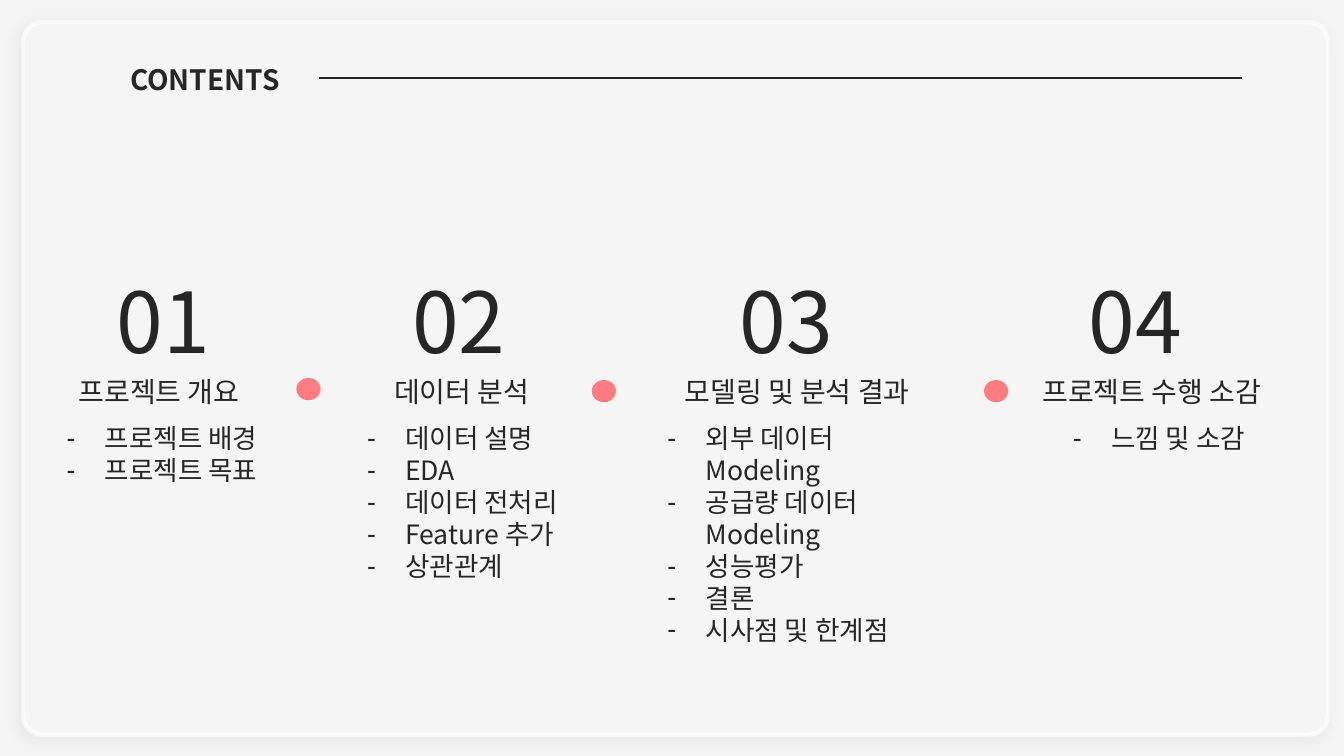
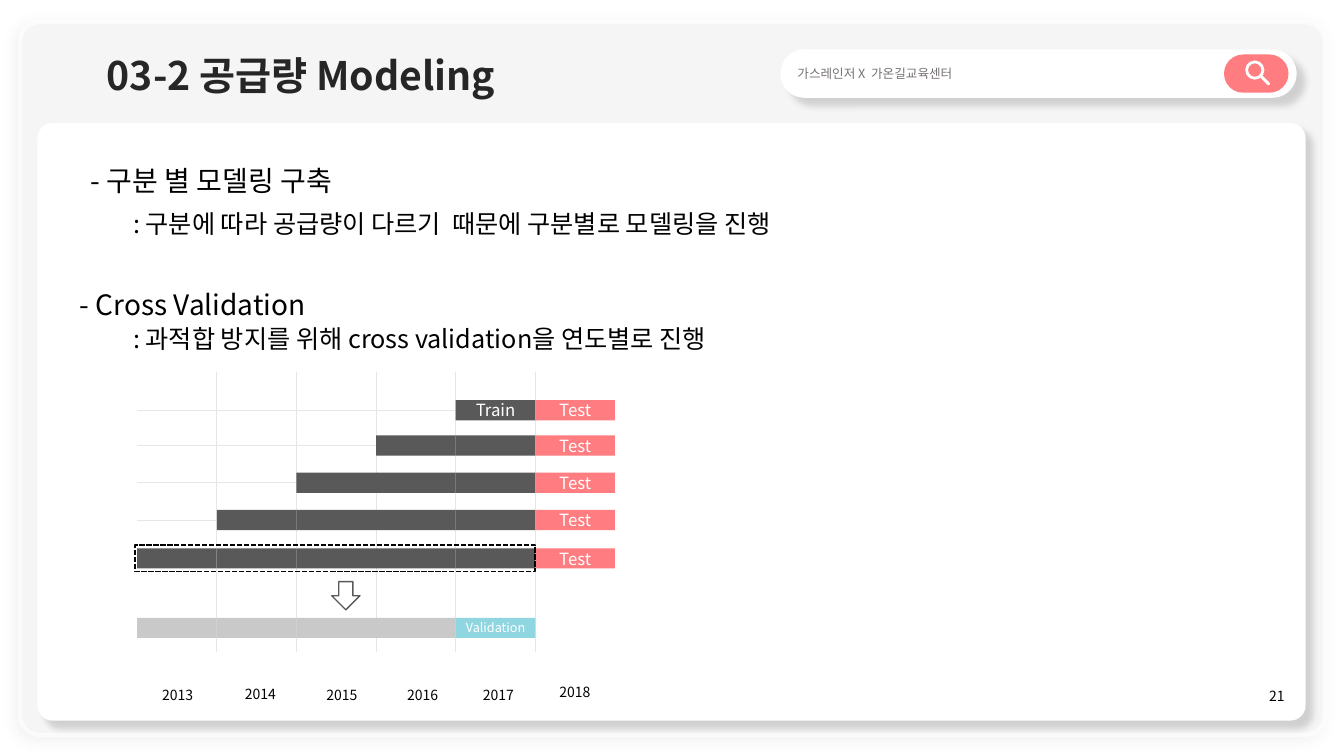
from lxml import etree
from pptx import Presentation
from pptx.dml.color import RGBColor
from pptx.enum.dml import MSO_LINE
from pptx.enum.shapes import MSO_CONNECTOR, MSO_SHAPE as SHAPE
from pptx.enum.text import MSO_ANCHOR as ANCHOR, MSO_AUTO_SIZE, PP_ALIGN as ALIGN
from pptx.oxml.ns import qn
from pptx.util import Inches, Pt

FONT = "Noto Sans CJK KR"
COLORS = {
    "ink": "262626", "black": "000000", "white": "FFFFFF", "panel": "F5F5F5",
    "coral": "FF7C80", "caption": "767171", "grid": "E7E6E6", "train": "595959",
    "past": "C9C9C9", "validation": "90D6E0",
}
PANEL_SHADOW = {"alpha": 6, "blur": 10, "distance": 3, "angle": 135}
CARD_SHADOW = {"alpha": 15, "blur": 5, "distance": 8, "angle": 45}
LINE_HEIGHT = 1.2


def rgb(name):
    return RGBColor.from_string(COLORS[name])


def add_alpha(color_element, percent):
    etree.SubElement(color_element, qn("a:alpha"), val=str(percent * 1000))


def add_shadow(shape, alpha, blur, distance, angle):
    effects = shape.element.spPr.find(qn("a:effectLst"))
    shadow = etree.SubElement(
        effects, qn("a:outerShdw"), blurRad=str(Pt(blur)), dist=str(Pt(distance)),
        dir=str(angle * 60000), algn="ctr", rotWithShape="0")
    color = etree.SubElement(shadow, qn("a:srgbClr"), val=COLORS["black"])
    add_alpha(color, alpha)


def add_box(slide, kind, box, fill=None, line=None, width=1, adjust=None, shadow=None):
    """Add a preset shape with an optional fill, outline and shadow."""
    shape = slide.shapes.add_shape(kind, *map(Inches, box))
    shape.shadow.inherit = False
    if adjust is not None:
        shape.adjustments[0] = adjust
    if fill:
        shape.fill.solid()
        shape.fill.fore_color.rgb = rgb(fill)
    else:
        shape.fill.background()
    if line:
        shape.line.color.rgb = rgb(line)
        shape.line.width = Pt(width)
    else:
        shape.line.fill.background()
    if shadow:
        add_shadow(shape, **shadow)
    return shape


def add_line(slide, start, end, color, width):
    line = slide.shapes.add_connector(
        MSO_CONNECTOR.STRAIGHT, *map(Inches, (*start, *end)))
    line.line.color.rgb = rgb(color)
    line.line.width = Pt(width)
    etree.SubElement(line.element.spPr, qn("a:effectLst"))


def set_indent(paragraph, left, bullet):
    properties = paragraph._p.get_or_add_pPr()
    properties.set("marL", str(Inches(left)))
    properties.set("indent", str(Inches(-left if bullet else 0)))
    if bullet:
        etree.SubElement(properties, qn("a:buChar"), char=bullet)
    else:
        etree.SubElement(properties, qn("a:buNone"))


def write(shape, lines, size=20, color="ink", bold=False, align=ALIGN.LEFT,
          anchor=ANCHOR.TOP, indent=0, bullet=None):
    """Write lines, each a text or a (text, own formats) pair."""
    frame = shape.text_frame
    frame_format = {"word_wrap": True, "auto_size": MSO_AUTO_SIZE.NONE,
                    "vertical_anchor": anchor, "margin_left": Inches(0.1),
                    "margin_right": Inches(0.1), "margin_top": Inches(0.05),
                    "margin_bottom": Inches(0.05)}
    for name, value in frame_format.items():
        setattr(frame, name, value)
    for number, line in enumerate(lines):
        text, own = (line, {}) if isinstance(line, str) else line
        line_size = own.get("size", size)
        paragraph = frame.add_paragraph() if number else frame.paragraphs[0]
        set_indent(paragraph, own.get("indent", indent), bullet)
        paragraph_format = {"alignment": align, "space_after": Pt(0),
                            "space_before": Pt(own.get("before", 0)),
                            "line_spacing": Pt(line_size * LINE_HEIGHT)}
        for name, value in paragraph_format.items():
            setattr(paragraph, name, value)
        run = paragraph.add_run()
        run.text = text
        run.font.color.rgb = rgb(color)
        for name, value in {"size": Pt(line_size), "bold": bold, "name": FONT}.items():
            setattr(run.font, name, value)
        etree.SubElement(run._r.get_or_add_rPr(), qn("a:ea"), typeface=FONT)


def add_text(slide, box, text, **formats):
    write(slide.shapes.add_textbox(*map(Inches, box)), [text], **formats)


def fill_placeholder(slide, index, box, lines, **formats):
    """Move a placeholder to its box, in front of the panels, and fill it."""
    placeholder = slide.placeholders[index]
    sides = ("left", "top", "width", "height")
    for name, value in zip(sides, box):
        setattr(placeholder, name, Inches(value))
    slide.shapes.element.append(placeholder.element)
    write(placeholder, lines, **formats)


def add_panel_slide(presentation, layout, background, left):
    """Add a slide with the large rounded panel."""
    slide = presentation.slides.add_slide(presentation.slide_layouts[layout])
    slide.background.fill.solid()
    slide.background.fill.fore_color.rgb = rgb(background)
    panel = add_box(slide, SHAPE.ROUNDED_RECTANGLE, (left, 0.22, 12.94, 7.07), "panel",
                    "white", 3.25, adjust=0.027, shadow=PANEL_SHADOW)
    add_alpha(panel.element.spPr.find(".//" + qn("a:ln")).find(".//" + qn("a:srgbClr")), 64)
    return slide


def add_chapter(slide, number, lefts, heading, topics):
    number_left, heading_left, list_left = lefts
    add_text(slide, (number_left, 2.62, 1.61, 1.11), f"{number:02}", size=60)
    add_text(slide, (heading_left, 3.67, 2.85, 0.44), heading)
    fill_placeholder(slide, number, (list_left, 4.14, 2.7, 2.4), topics,
                     size=19, indent=0.38, bullet="-")


def build_contents(presentation):
    slide = add_panel_slide(presentation, 4, "panel", 0.23)
    fill_placeholder(slide, 0, (1.19, 0.57, 1.9, 0.44), ["CONTENTS"], bold=True)
    add_line(slide, (3.16, 0.77), (12.32, 0.77), "ink", 1.5)
    chapters = [
        ((1.06, 0.68, 0.56), "프로젝트 개요", ["프로젝트 배경", "프로젝트 목표"]),
        ((3.99, 3.81, 3.54), "데이터 분석",
         ["데이터 설명", "EDA", "데이터 전처리", "Feature 추가", "상관관계"]),
        ((7.24, 6.69, 6.52), "모델링 및 분석 결과",
         ["외부 데이터 Modeling", "공급량 데이터 Modeling", "성능평가", "결론",
          "시사점 및 한계점"]),
        ((10.7, 10.24, 10.54), "프로젝트 수행 소감", ["느낌 및 소감"]),
    ]
    for number, chapter in enumerate(chapters, 1):
        add_chapter(slide, number, *chapter)
    for left, top in ((2.94, 3.75), (5.87, 3.77), (9.76, 3.77)):
        add_box(slide, SHAPE.OVAL, (left, top, 0.24, 0.22), "coral")


def add_search_bar(slide, left, top):
    bar = add_box(slide, SHAPE.ROUNDED_RECTANGLE, (left, top, 5.12, 0.48), "white",
                  adjust=0.5, shadow=CARD_SHADOW)
    write(bar, ["가스레인저 X  가온길교육센터"], size=9, color="caption",
          anchor=ANCHOR.MIDDLE)
    add_box(slide, SHAPE.ROUNDED_RECTANGLE, (left + 4.4, top + 0.05, 0.64, 0.38),
            "coral", adjust=0.5)
    add_box(slide, SHAPE.DONUT, (left + 4.61, top + 0.11, 0.19, 0.19), "white",
            adjust=0.148)
    handle = add_box(slide, SHAPE.ROUNDED_RECTANGLE,
                     (left + 4.79, top + 0.24, 0.03, 0.13), "white", adjust=0.5)
    handle.rotation = 315


def add_validation_diagram(slide, left, top):
    """Draw the yearly train, test and validation bars from their top-left corner."""
    cell_width, cell_height, years = 0.79, 0.2, 5
    row_tops = [top + offset for offset in (0.28, 0.63, 1, 1.37, 1.75)]
    validation_top = top + 2.44

    def add_cell(column, row_top, fill, text=None, size=12):
        cell = add_box(slide, SHAPE.RECTANGLE,
                       (left + column * cell_width, row_top, cell_width, cell_height), fill)
        if text:
            write(cell, [text], size=size, color="white", align=ALIGN.CENTER,
                  anchor=ANCHOR.MIDDLE)

    for row_top in row_tops:
        middle = row_top + cell_height / 2
        add_line(slide, (left, middle), (left + 4.69, middle), "grid", 0.5)
    for column in range(1, years + 1):
        x = left + column * cell_width
        add_line(slide, (x, top), (x, top + 2.78), "grid", 0.5)

    for row, row_top in enumerate(row_tops):
        for column in range(years - 1 - row, years):
            add_cell(column, row_top, "train", None if row else "Train")
        add_cell(years, row_top, "coral", "Test")
    for column in range(years - 1):
        add_cell(column, validation_top, "past")
    add_cell(years - 1, validation_top, "validation", "Validation", 9)

    frame = add_box(slide, SHAPE.RECTANGLE, (left - 0.02, top + 1.72, 3.97, 0.26),
                    line="black", width=1.25)
    frame.line.dash_style = MSO_LINE.SQUARE_DOT
    add_box(slide, SHAPE.DOWN_ARROW, (left + 1.93, top + 2.08, 0.28, 0.28), line="train")

    labels = ((0.15, 3.07), (0.97, 3.06), (1.78, 3.07), (2.58, 3.07), (3.33, 3.07),
              (4.09, 3.04))
    for year, (x, y) in enumerate(labels, 2013):
        add_text(slide, (left + x, top + y, 0.7, 0.27), str(year), size=10, color="black")


def build_modeling(presentation):
    slide = add_panel_slide(presentation, 1, "white", 0.2)
    add_search_bar(slide, 7.74, 0.49)
    fill_placeholder(slide, 0, (0.96, 0.46, 6.67, 0.57), ["03-2 공급량 Modeling"],
                     size=28, bold=True)
    add_box(slide, SHAPE.ROUNDED_RECTANGLE, (0.37, 1.22, 12.58, 5.93), "white",
            adjust=0.026, shadow=CARD_SHADOW)
    detail = {"size": 18, "indent": 0.53}
    fill_placeholder(slide, 1, (0.69, 1.57, 10.72, 2), [
        ("- 구분 별 모델링 구축", {"indent": 0.11}),
        (": 구분에 따라 공급량이 다르기  때문에 구분별로 모델링을 진행",
         {**detail, "before": 8.4}),
        ("- Cross Validation", {"before": 35}),
        (": 과적합 방지를 위해 cross validation을 연도별로 진행", {**detail, "before": 1}),
    ], color="black")
    add_validation_diagram(slide, 1.36, 3.69)
    add_text(slide, (12.49, 6.77, 0.5, 0.27), "21", size=10, color="black")


def main():
    presentation = Presentation()
    presentation.slide_width = Inches(13.33)
    presentation.slide_height = Inches(7.5)
    build_contents(presentation)
    build_modeling(presentation)
    presentation.save("out.pptx")


if __name__ == "__main__":
    main()
